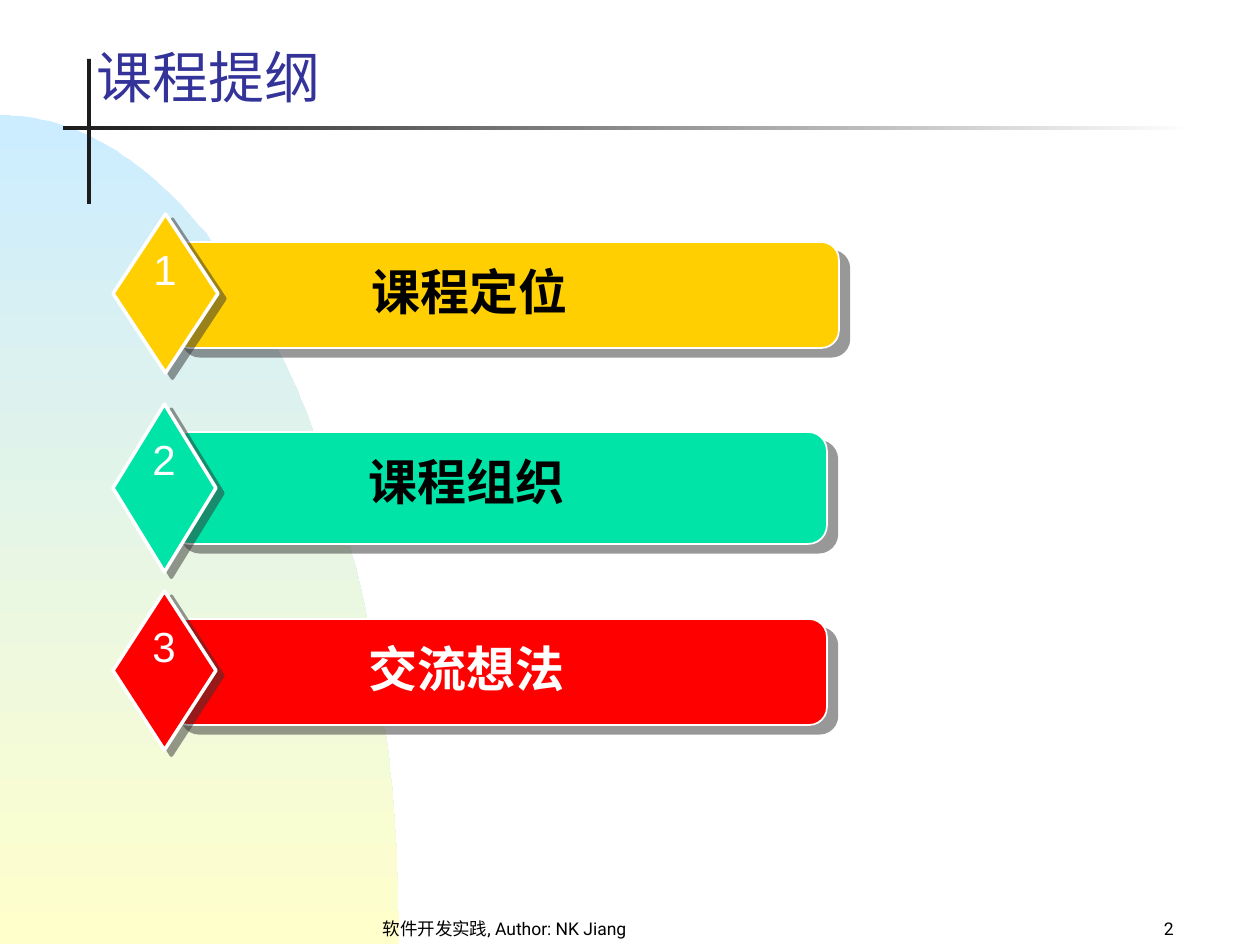
from dataclasses import dataclass
from math import cos, pi, sin

from lxml.etree import SubElement
from pptx import Presentation
from pptx.dml.color import RGBColor
from pptx.enum.shapes import MSO_SHAPE as Preset
from pptx.enum.text import MSO_ANCHOR as Anchor, PP_ALIGN as Align
from pptx.oxml.ns import qn
from pptx.util import Emu, Pt

EMU_PER_PX = 914400 / 126
COLORS = {
    "sky": "CCECFF",
    "cream": "FFFFCC",
    "ink": "1C1C1C",
    "white": "FFFFFF",
    "black": "000000",
    "title": "333399",
    "shadow": "333333",
    "gold": "FFCF01",
    "green": "00E4A8",
    "red": "FF0000",
}


@dataclass
class Frame:
    left: int
    top: int
    width: int
    height: int

    def emu(self) -> tuple:
        return tuple(px(n) for n in (self.left, self.top, self.width, self.height))


@dataclass
class TextStyle:
    size: int
    font: str
    color: str
    bold: bool = False
    align: Align = Align.CENTER
    anchor: Anchor = Anchor.TOP
    wrap: bool = True


@dataclass
class Topic:
    number: int
    label: str
    color: str
    text_color: str
    top: int
    bar_width: int
    bar_height: int
    diamond_width: int
    label_width: int


TOPICS = [
    Topic(1, "课程定位", "gold", "black", 242, 667, 106, 105, 525),
    Topic(2, "课程组织", "green", "black", 432, 656, 112, 103, 519),
    Topic(3, "交流想法", "red", "white", 619, 656, 106, 103, 519),
]
DIAMOND_LEFT = 113


def px(length: int) -> Emu:
    return Emu(round(length * EMU_PER_PX))


def rgb(name: str) -> RGBColor:
    return RGBColor.from_string(COLORS[name])


def fill_solid(shape, color: str) -> None:
    shape.fill.solid()
    shape.fill.fore_color.rgb = rgb(color)


def fill_gradient(shape, start: str, end: str, angle: int) -> None:
    shape.fill.gradient()
    shape.fill.gradient_angle = angle
    for stop, color in zip(shape.fill.gradient_stops, (start, end)):
        stop.color.rgb = rgb(color)


def add_plain(shapes, preset: Preset, frame: Frame):
    shape = shapes.add_shape(preset, *frame.emu())
    shape.shadow.inherit = False
    shape.line.fill.background()
    return shape


def add_shadow(shape, distance: float, angle: int) -> None:
    effects = shape.element.spPr.find(qn("a:effectLst"))
    shadow = SubElement(effects, qn("a:outerShdw"), dist=str(Pt(distance)),
                        dir=str(angle * 60000), algn="ctr", rotWithShape="0")
    color = SubElement(shadow, qn("a:srgbClr"), val=COLORS["shadow"])
    SubElement(color, qn("a:alpha"), val="50000")


def add_outlined(shapes, preset: Preset, frame: Frame, color: str, line_width: int):
    shape = add_plain(shapes, preset, frame)
    fill_solid(shape, color)
    shape.line.color.rgb = rgb("white")
    shape.line.width = Pt(line_width)
    return shape


def add_text(shapes, text: str, frame: Frame, style: TextStyle) -> None:
    box = shapes.add_textbox(*frame.emu())
    box.text_frame.word_wrap = style.wrap
    box.text_frame.vertical_anchor = style.anchor
    para = box.text_frame.paragraphs[0]
    para.text = text
    para.alignment = style.align
    para.font.size = Pt(style.size)
    para.font.name = style.font
    para.font.bold = style.bold
    para.font.color.rgb = rgb(style.color)


def add_backdrop(page) -> None:
    width, top, height, steps = 399, 115, 829, 90
    angles = [pi / 2 * i / steps for i in range(steps + 1)]
    arc = [(width * sin(a), top + height * (1 - cos(a))) for a in angles]
    builder = page.shapes.build_freeform(0, top, scale=EMU_PER_PX)
    builder.add_line_segments(arc[1:] + [(0, top + height)], close=True)
    quarter = builder.convert_to_shape()
    quarter.shadow.inherit = False
    quarter.line.fill.background()
    fill_gradient(quarter, "sky", "cream", 270)

    upright = add_plain(page.shapes, Preset.RECTANGLE, Frame(87, 59, 4, 145))
    fill_solid(upright, "ink")
    rule = add_plain(page.shapes, Preset.RECTANGLE, Frame(63, 126, 1134, 4))
    fill_gradient(rule, "ink", "white", 0)


def add_topic(page, topic: Topic) -> None:
    shapes = page.shapes.add_group_shape().shapes
    middle = DIAMOND_LEFT + topic.diamond_width // 2
    bar_frame = Frame(middle + 7, topic.top, topic.bar_width, topic.bar_height)
    bar = add_outlined(shapes, Preset.ROUNDED_RECTANGLE, bar_frame, topic.color, 1)
    add_shadow(bar, 7.8, 40)

    diamond_frame = Frame(DIAMOND_LEFT, topic.top - 28,
                          topic.diamond_width, topic.bar_height * 3 // 2)
    diamond = add_outlined(shapes, Preset.DIAMOND, diamond_frame, topic.color, 2)
    add_shadow(diamond, 5, 37)

    add_text(shapes, topic.label,
             Frame(DIAMOND_LEFT + 94, topic.top + 13, topic.label_width, 72),
             TextStyle(28, "Arial", topic.text_color, bold=True))
    add_text(shapes, str(topic.number), Frame(middle - 24, topic.top - 5, 48, 63),
             TextStyle(24, "Arial", "white", wrap=False))


def main() -> None:
    deck = Presentation()
    deck.slide_width, deck.slide_height = px(1260), px(945)
    page = deck.slides.add_slide(deck.slide_layouts[6])
    add_backdrop(page)
    add_text(page.shapes, "软件开发实践, Author: NK Jiang", Frame(305, 903, 399, 42),
             TextStyle(10, "Roboto", "black", anchor=Anchor.BOTTOM))
    add_text(page.shapes, "2", Frame(924, 903, 262, 42),
             TextStyle(10, "Roboto", "black", align=Align.RIGHT, anchor=Anchor.BOTTOM))
    add_text(page.shapes, "课程提纲", Frame(84, 21, 892, 95),
             TextStyle(32, "Roboto", "title", align=Align.LEFT, anchor=Anchor.BOTTOM))
    for topic in TOPICS:
        add_topic(page, topic)
    deck.save("out.pptx")


if __name__ == "__main__":
    main()
